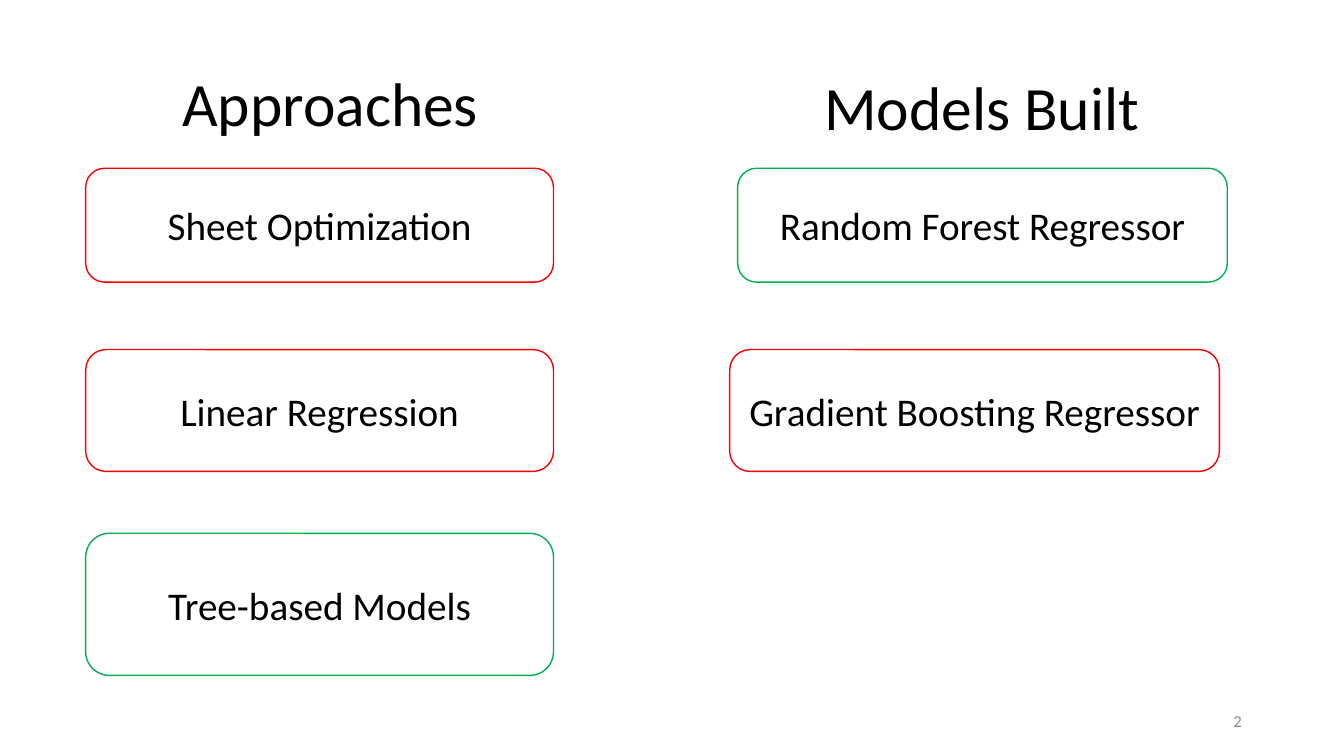
from dataclasses import dataclass

from pptx import Presentation
from pptx.dml.color import RGBColor
from pptx.enum.shapes import MSO_SHAPE
from pptx.enum.text import MSO_ANCHOR, PP_ALIGN
from pptx.util import Cm, Pt


@dataclass(frozen=True)
class Theme:
    font: str = "Calibri"
    text: str = "000000"
    muted: str = "8C8C8C"
    fill: str = "FFFFFF"
    rejected: str = "FF0000"
    chosen: str = "00B050"
    heading_size: int = 44
    box_size: int = 28
    number_size: int = 12
    outline: int = 1


THEME = Theme()

# Lengths in centimetres: left, top, width, height
TITLE = ("Approaches", (4.34, 1.37, 8.13, 2.62))
SUBTITLE = ("Models Built", (20.52, 1.6, 8.51, 2.13))
PAGE_NUMBER = ("2", (23.93, 17.65, 7.62, 1.02))

ROWS = [(4.24, 2.87), (8.81, 3.07), (13.44, 3.58)]  # top, height

# Each column: width, then (label, left, outline colour) from the top row down
COLUMNS = [
    (11.79, [
        ("Sheet Optimization", 2.16, THEME.rejected),
        ("Linear Regression", 2.16, THEME.rejected),
        ("Tree-based Models", 2.16, THEME.chosen),
    ]),
    (12.34, [
        ("Random Forest Regressor", 18.59, THEME.chosen),
        ("Gradient Boosting Regressor", 18.39, THEME.rejected),
    ]),
]


def write_text(shape, text, size, color=THEME.text, align=PP_ALIGN.LEFT,
               anchor=MSO_ANCHOR.MIDDLE, wrap=True, line_spacing=None):
    frame = shape.text_frame
    frame.word_wrap = wrap
    frame.vertical_anchor = anchor
    paragraph = frame.paragraphs[0]
    paragraph.alignment = align
    paragraph.line_spacing = line_spacing
    run = paragraph.add_run()
    run.text = text
    run.font.name = THEME.font
    run.font.size = Pt(size)
    run.font.color.rgb = RGBColor.from_string(color)


def add_title(slide, text, place):
    title = slide.shapes.title
    title.left, title.top, title.width, title.height = map(Cm, place)
    write_text(title, text, THEME.heading_size, line_spacing=0.9)


def add_label(slide, text, place, size, **text_format):
    label = slide.shapes.add_textbox(*map(Cm, place))
    write_text(label, text, size, **text_format)


def add_box(slide, text, place, outline):
    box = slide.shapes.add_shape(MSO_SHAPE.ROUNDED_RECTANGLE, *map(Cm, place))
    box.shadow.inherit = False
    box.fill.solid()
    box.fill.fore_color.rgb = RGBColor.from_string(THEME.fill)
    box.line.color.rgb = RGBColor.from_string(outline)
    box.line.width = Pt(THEME.outline)
    write_text(box, text, THEME.box_size, align=PP_ALIGN.CENTER)


def main():
    presentation = Presentation()
    presentation.slide_width = Cm(33.87)
    presentation.slide_height = Cm(19.05)
    title_only = presentation.slide_layouts.get_by_name("Title Only")
    slide = presentation.slides.add_slide(title_only)

    add_title(slide, *TITLE)
    add_label(slide, *SUBTITLE, THEME.heading_size,
              anchor=MSO_ANCHOR.TOP, wrap=False)
    for width, boxes in COLUMNS:
        for (label, left, outline), (top, height) in zip(boxes, ROWS):
            add_box(slide, label, (left, top, width, height), outline)
    add_label(slide, *PAGE_NUMBER, THEME.number_size,
              color=THEME.muted, align=PP_ALIGN.RIGHT)

    presentation.save("out.pptx")


if __name__ == "__main__":
    main()
